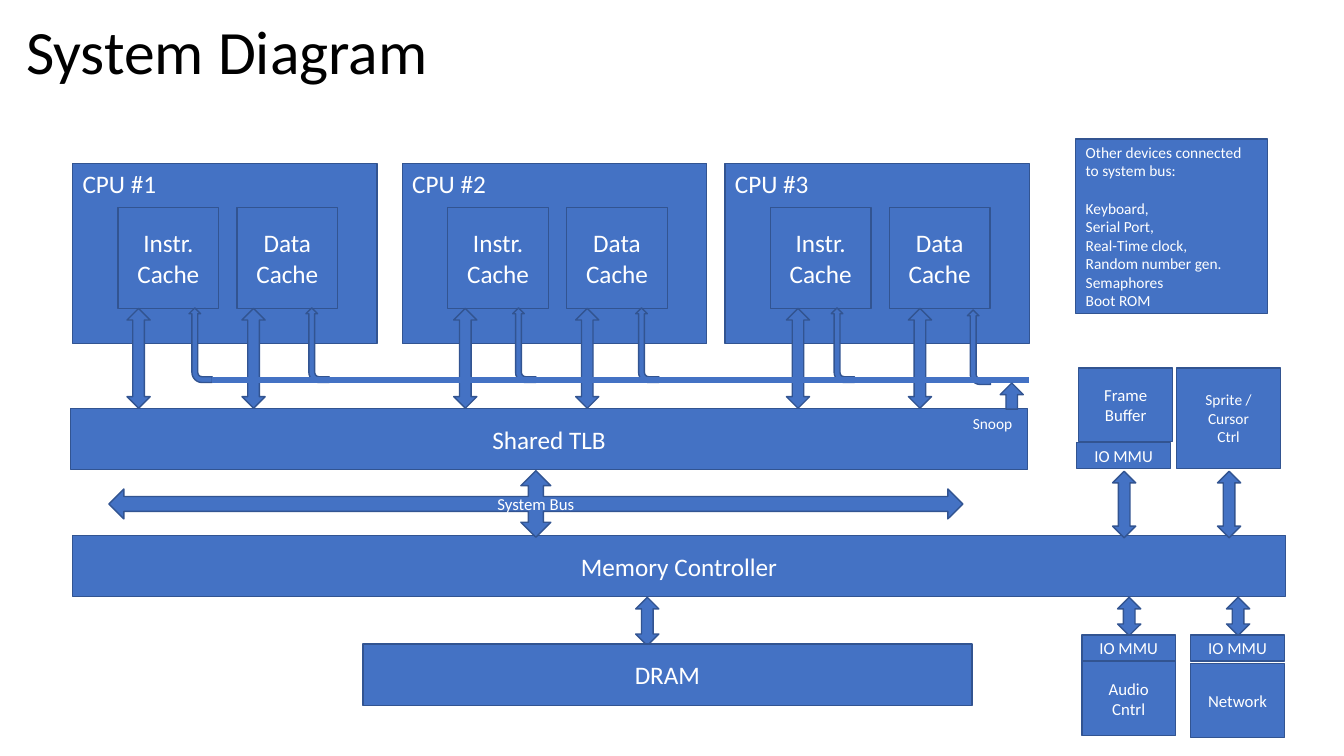
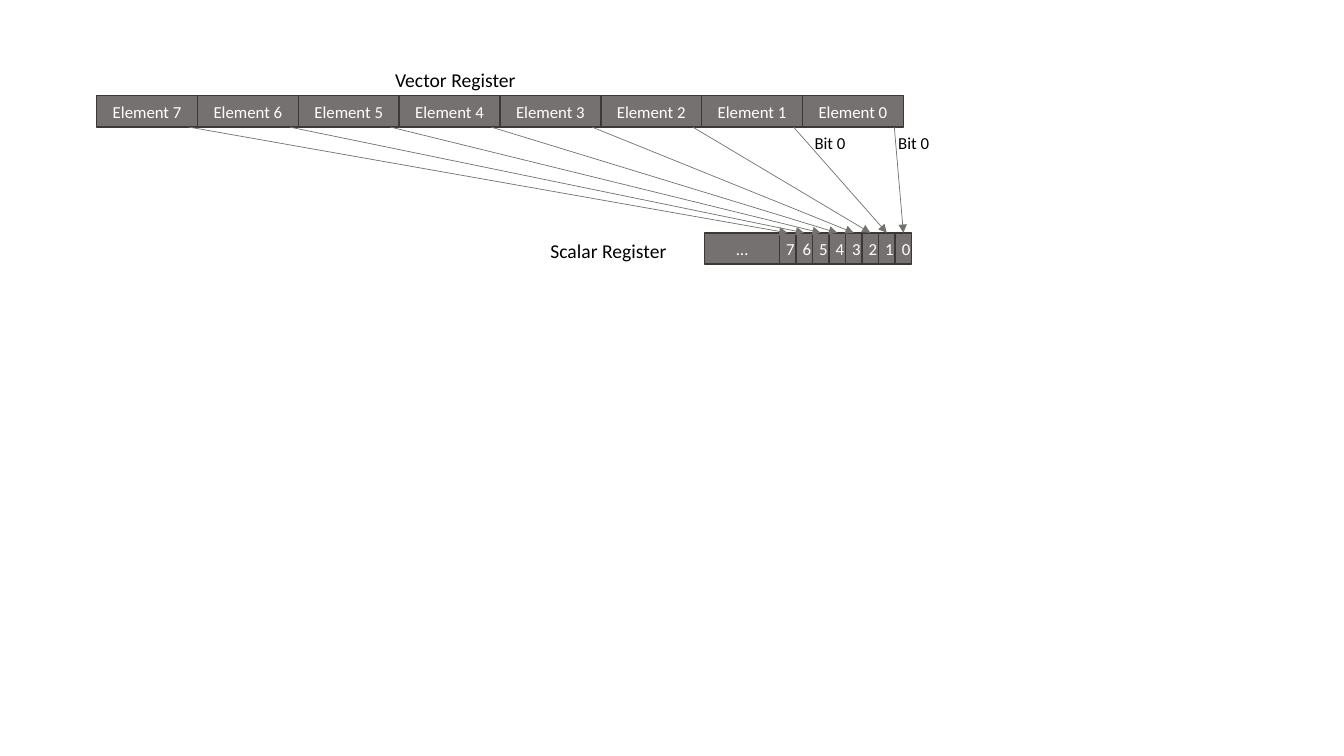
from pptx import Presentation
from pptx.dml.color import RGBColor
from pptx.enum.shapes import MSO_CONNECTOR, MSO_SHAPE
from pptx.enum.text import MSO_ANCHOR, PP_ALIGN
from pptx.oxml.ns import qn
from pptx.util import Inches, Pt
from lxml.etree import SubElement

COLOURS = {
    "blue": "4472C4", "blue edge": "325491",
    "grey": "767171", "grey edge": "3B3838",
    "white": "FFFFFF", "black": "000000",
}
FONT = "Calibri"

deck = Presentation()
deck.slide_width = Inches(13.33)
deck.slide_height = Inches(7.5)
blank = deck.slide_layouts[6]
CELL = deck.slide_height / 75  # square grid, 75 rows high


def add_box(page, place, text="", size=18, kind=MSO_SHAPE.RECTANGLE, paint="blue",
            ink="white", align=PP_ALIGN.CENTER, anchor=MSO_ANCHOR.MIDDLE):
    """Add a painted shape, or a plain text box when kind is None."""
    place = [round(length * CELL) for length in place]
    if kind is None:
        box = page.shapes.add_textbox(*place)
    else:
        box = page.shapes.add_shape(kind, *place)
        box.shadow.inherit = False
        box.fill.solid()
        box.fill.fore_color.rgb = RGBColor.from_string(COLOURS[paint])
        box.line.color.rgb = RGBColor.from_string(COLOURS[paint + " edge"])
        box.line.width = Pt(1)
    if text:
        frame = box.text_frame
        frame.word_wrap = True
        frame.vertical_anchor = anchor
        frame.text = text
        for para in frame.paragraphs:
            para.alignment = align
            for span in para.runs:
                span.font.name = FONT
                span.font.size = Pt(size)
                span.font.color.rgb = RGBColor.from_string(COLOURS[ink])
    return box


def add_line(page, start, end, paint, width, arrow=False):
    points = [round(length * CELL) for length in (*start, *end)]
    line = page.shapes.add_connector(MSO_CONNECTOR.STRAIGHT, *points)
    line.line.color.rgb = RGBColor.from_string(COLOURS[paint])
    line.line.width = Pt(width)
    if arrow:
        SubElement(line.line._get_or_add_ln(), qn("a:tailEnd"), type="triangle")
    SubElement(line._element.spPr, qn("a:effectLst"))


# Slide 1: system diagram
page = deck.slides.add_slide(blank)
title = add_box(page, (1.6, 0.9, 115, 9.1), "System Diagram", 44, kind=None,
                ink="black", align=PP_ALIGN.LEFT)
title.text_frame.paragraphs[0].line_spacing = 0.9

# Processors with their caches
for number, left in enumerate((7.2, 39.9, 71.9), start=1):
    add_box(page, (left, 16.2, 30.2, 17.9), f"CPU #{number}",
            align=PP_ALIGN.LEFT, anchor=MSO_ANCHOR.TOP)
    for offset, cache in ((4.5, "Instr. Cache"), (16.3, "Data Cache")):
        add_box(page, (left + offset, 20.6, 10, 10), cache)
add_box(page, (7, 40.5, 94.9, 6.1), "Shared TLB")
add_box(page, (7.2, 53.1, 120.3, 6.1), "Memory Controller")

# Upright arrows: kind, length, middle row, middle columns
THICKNESS = 2.3
DOUBLE, BENT = MSO_SHAPE.LEFT_RIGHT_ARROW, MSO_SHAPE.BENT_ARROW
upright_arrows = (
    (DOUBLE, 9.9, 35.55, (13.75, 25.15, 46.15, 58.25, 79.15, 91.25)),  # caches to TLB
    (BENT, 7.4, 34.25, (19.9, 31.5, 52, 64.2, 83.6)),  # snoop line to caches
    (BENT, 7.4, 34.45, (97.1,)),
    (DOUBLE, 4.8, 61.65, (64.2,)),  # memory controller to DRAM
    (DOUBLE, 6.6, 50.05, (111.5, 121.9)),  # display devices
    (DOUBLE, 3.8, 61.15, (112, 122.8)),  # audio and network
)
for kind, length, middle_row, middle_columns in upright_arrows:
    for column in middle_columns:
        arrow = add_box(page, (column - length / 2, middle_row - THICKNESS / 2,
                               length, THICKNESS), kind=kind)
        arrow.rotation = 270

# Snoop line
add_line(page, (21, 37.7), (102.1, 37.7), "blue", 4.5)
add_line(page, (104.6, 37.9), (104.6, 37.9), "blue", 0.5)
add_box(page, (99.2, 38, THICKNESS, 2.6), kind=MSO_SHAPE.UP_ARROW)
add_box(page, (95.5, 40.6, 7.3, 2.9), "Snoop", 11, kind=None,
        align=PP_ALIGN.LEFT, anchor=MSO_ANCHOR.TOP)

# System bus and memory
add_box(page, (10.8, 46.7, 84.7, 6.6), "System Bus", 12, kind=MSO_SHAPE.QUAD_ARROW)
add_box(page, (36, 63.9, 60.4, 6.1), "DRAM")

# Devices
devices = (
    ((107, 36.5, 9.3, 7.3), "Frame Buffer", 12),
    ((106.8, 43.9, 9.3, 2.6), "IO MMU", 12),
    ((116.7, 36.5, 10.3, 10), "Sprite / Cursor\nCtrl", 11),
    ((107.3, 65.6, 9.3, 7.4), "Audio\nCntrl", 12),
    ((107.3, 63, 9.3, 2.6), "IO MMU", 12),
    ((118.1, 65.8, 9.3, 7.4), "Network", 12),
    ((118.1, 63, 9.3, 2.6), "IO MMU", 12),
)
for place, name, size in devices:
    add_box(page, place, name, size)

other_devices = add_box(
    page, (106.7, 13.8, 19, 17.3),
    "Other devices connected to system bus:\nKeyboard,\nSerial Port,\nReal-Time clock,\n"
    "Random number gen.\nSemaphores\nBoot ROM", 11, align=PP_ALIGN.LEFT)
other_devices.text_frame.paragraphs[0].space_after = Pt(13.4)

# Slide 2: vector register packed into a scalar register
page = deck.slides.add_slide(blank)
COUNT = 8
ELEMENT_LEFT, ELEMENT_TOP, ELEMENT_WIDTH = 9.6, 9.5, 10
BIT_LEFT, BIT_TOP, BIT_WIDTH = 77.3, 23.1, 1.64
REGISTER_HEIGHT = 3.1

add_box(page, (69.9, BIT_TOP, 7.4, REGISTER_HEIGHT), "…", 12, paint="grey")
for position in range(COUNT):
    number = COUNT - 1 - position
    add_box(page, (ELEMENT_LEFT + position * ELEMENT_WIDTH, ELEMENT_TOP,
                   ELEMENT_WIDTH, REGISTER_HEIGHT), f"Element {number}", 12, paint="grey")
    add_box(page, (BIT_LEFT + position * BIT_WIDTH, BIT_TOP,
                   BIT_WIDTH, REGISTER_HEIGHT), str(number), 12, paint="grey")

# Lowest bit of each element goes to its place in the scalar register
for position in range(COUNT):
    start = (ELEMENT_LEFT + (position + 0.91) * ELEMENT_WIDTH, ELEMENT_TOP + REGISTER_HEIGHT)
    end = (BIT_LEFT + (position + 0.5) * BIT_WIDTH, BIT_TOP)
    add_line(page, start, end, "grey", 0.5, arrow=True)

# Labels
labels = (
    ((38.2, 6.2, 19, 3.4), "Vector Register", 14),
    ((53.6, 23.2, 15.9, 3.4), "Scalar Register", 14),
    ((88.1, 12.7, 5.9, 3), "Bit 0", 12),
    ((79.8, 12.7, 5.9, 3), "Bit 0", 12),
)
for place, label, size in labels:
    add_box(page, place, label, size, kind=None, ink="black",
            align=PP_ALIGN.LEFT, anchor=MSO_ANCHOR.TOP)

deck.save("out.pptx")
